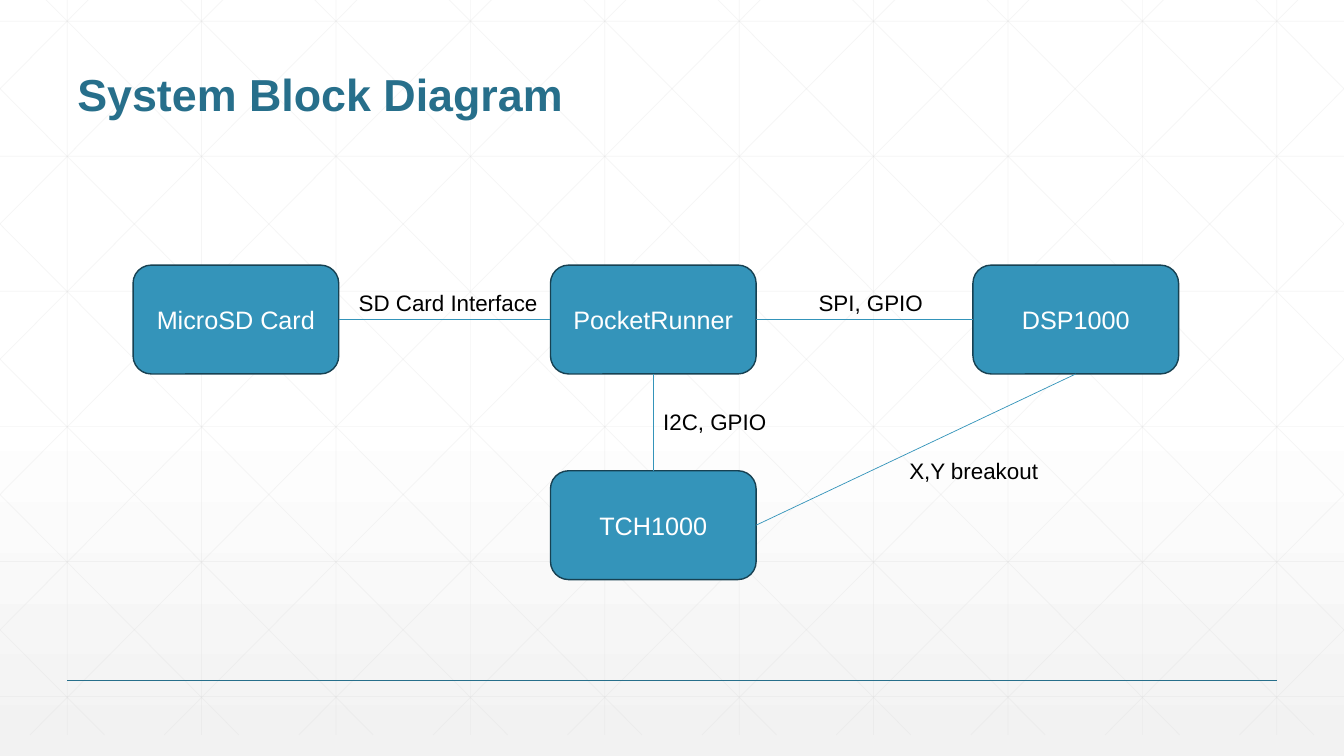
from copy import deepcopy

from lxml.etree import SubElement
from pptx import Presentation
from pptx.dml.color import RGBColor
from pptx.enum.shapes import MSO_CONNECTOR, MSO_SHAPE
from pptx.enum.text import MSO_ANCHOR, PP_ALIGN
from pptx.oxml.ns import qn
from pptx.util import Inches, Pt

WIDTH, HEIGHT = 13.33, 7.5
TOP, RIGHT, BOTTOM, LEFT = 0, 3, 2, 1
TITLE = {"name": "Arial", "size": Pt(32), "bold": True}
BLOCK = {"name": "Arial", "size": Pt(18)}
LABEL = {"name": "Arial", "size": Pt(16)}

# name: (text, column, row) in the block grid
BLOCK_SIZE = (2.04, 1.08)
COLUMNS = (1.32, 5.46, 9.65)
ROWS = (2.63, 4.67)
BLOCKS = {
    "board": ("PocketRunner", 1, 0),
    "display": ("DSP1000", 2, 0),
    "card": ("MicroSD Card", 0, 0),
    "touch": ("TCH1000", 1, 1),
}
# start, side, end, side, label, label box
LINKS = [
    ("board", RIGHT, "display", LEFT, "SPI, GPIO", (8.02, 2.82, 1.25, 0.37)),
    ("card", RIGHT, "board", LEFT, "SD Card Interface", (3.46, 2.82, 2, 0.37)),
    ("board", BOTTOM, "touch", TOP, "I2C, GPIO", (6.48, 4, 1.24, 0.37)),
    ("touch", RIGHT, "display", BOTTOM, "X,Y breakout", (8.92, 4.49, 1.5, 0.37)),
]


def color(value):
    return RGBColor.from_string(value)


def inches(values):
    return [Inches(value) for value in values]


def write(shape, text, font_format, text_color):
    paragraph = shape.text_frame.paragraphs[0]
    run = paragraph.add_run()
    run.text = text
    for name, value in font_format.items():
        setattr(run.font, name, value)
    run.font.color.rgb = color(text_color)
    return paragraph


def add_line(shapes, start, end, line_color, width, opacity=None):
    """Draw a shadowless line; opacity is a percentage."""
    line = shapes.add_connector(MSO_CONNECTOR.STRAIGHT, *inches((*start, *end)))
    line.line.color.rgb = color(line_color)
    line.line.width = Pt(width)
    properties = line.element.spPr
    if opacity:
        tone = properties.find(".//" + qn("a:srgbClr"))
        SubElement(tone, qn("a:alpha")).set("val", str(opacity * 1000))
    SubElement(properties, qn("a:effectLst"))
    return line


def add_background(slide):
    fill = slide.background.fill
    fill.gradient()
    fill.gradient_angle = 270
    for stop, tone in zip(fill.gradient_stops, ("FFFFFF", "F2F2F2")):
        stop.color.rgb = color(tone)
    first = slide.element.find(".//" + qn("a:gs"))
    middle = deepcopy(first)
    middle.set("pos", "53000")
    first.addnext(middle)


def add_grid(slide, top, bottom):
    """Draw vertical, horizontal and mirrored diagonal lines, cut at the slide's sides."""
    shapes = slide.shapes.add_group_shape().shapes
    step = WIDTH / 10
    run = 7.45
    slope = (bottom - top) / run
    segments = []
    for column in range(10):
        x = (column + 0.5) * step
        segments.append(((x, top), (x, bottom)))
    for row in range(6):
        y = 0.21 + 1.34 * row
        segments.append(((0, y), (WIDTH, y)))
    for index in range(-5, 10):
        x = 0.25 + index * step
        left, right = max(x, 0), min(x + run, WIDTH)
        y_left, y_right = (top + (edge - x) * slope for edge in (left, right))
        segments.append(((left, y_left), (right, y_right)))
        segments.append(((WIDTH - left, y_left), (WIDTH - right, y_right)))
    for start, end in segments:
        add_line(shapes, start, end, "D9D9D9", 0.5, opacity=25)


def add_title(slide, text, box):
    title = slide.shapes.title
    title.left, title.top, title.width, title.height = inches(box)
    title.text_frame.vertical_anchor = MSO_ANCHOR.BOTTOM
    paragraph = write(title, text, TITLE, "276F8B")
    paragraph.alignment = PP_ALIGN.LEFT
    paragraph.line_spacing = 0.9
    title.element.getparent().append(title.element)  # in front of the grid


def add_block(slide, text, box):
    block = slide.shapes.add_shape(MSO_SHAPE.ROUNDED_RECTANGLE, *inches(box))
    block.shadow.inherit = False
    block.fill.solid()
    block.fill.fore_color.rgb = color("3494BA")
    block.line.color.rgb = color("174152")
    block.line.width = Pt(1)
    block.text_frame.vertical_anchor = MSO_ANCHOR.MIDDLE
    write(block, text, BLOCK, "FFFFFF").alignment = PP_ALIGN.CENTER
    return block


def add_label(slide, text, box):
    label = slide.shapes.add_textbox(*inches(box))
    label.text_frame.word_wrap = False
    write(label, text, LABEL, "000000")


def add_diagram(slide):
    blocks = {
        name: add_block(slide, text, (COLUMNS[column], ROWS[row], *BLOCK_SIZE))
        for name, (text, column, row) in BLOCKS.items()
    }
    for start, start_side, end, end_side, text, box in LINKS:
        link = add_line(slide.shapes, (0, 0), (1, 1), "3494BA", 0.5)
        link.begin_connect(blocks[start], start_side)
        link.end_connect(blocks[end], end_side)
        add_label(slide, text, box)


def main():
    presentation = Presentation()
    presentation.slide_width, presentation.slide_height = inches((WIDTH, HEIGHT))
    slide = presentation.slides.add_slide(presentation.slide_layouts[5])
    margin = WIDTH / 20
    add_background(slide)
    add_grid(slide, -0.21, 7.29)
    add_line(slide.shapes, (margin, 6.75), (WIDTH - margin, 6.75), "276F8B", 1)
    add_title(slide, "System Block Diagram", (margin, 0.25, WIDTH * 0.9, 1))
    add_diagram(slide)
    presentation.save("out.pptx")


if __name__ == "__main__":
    main()
